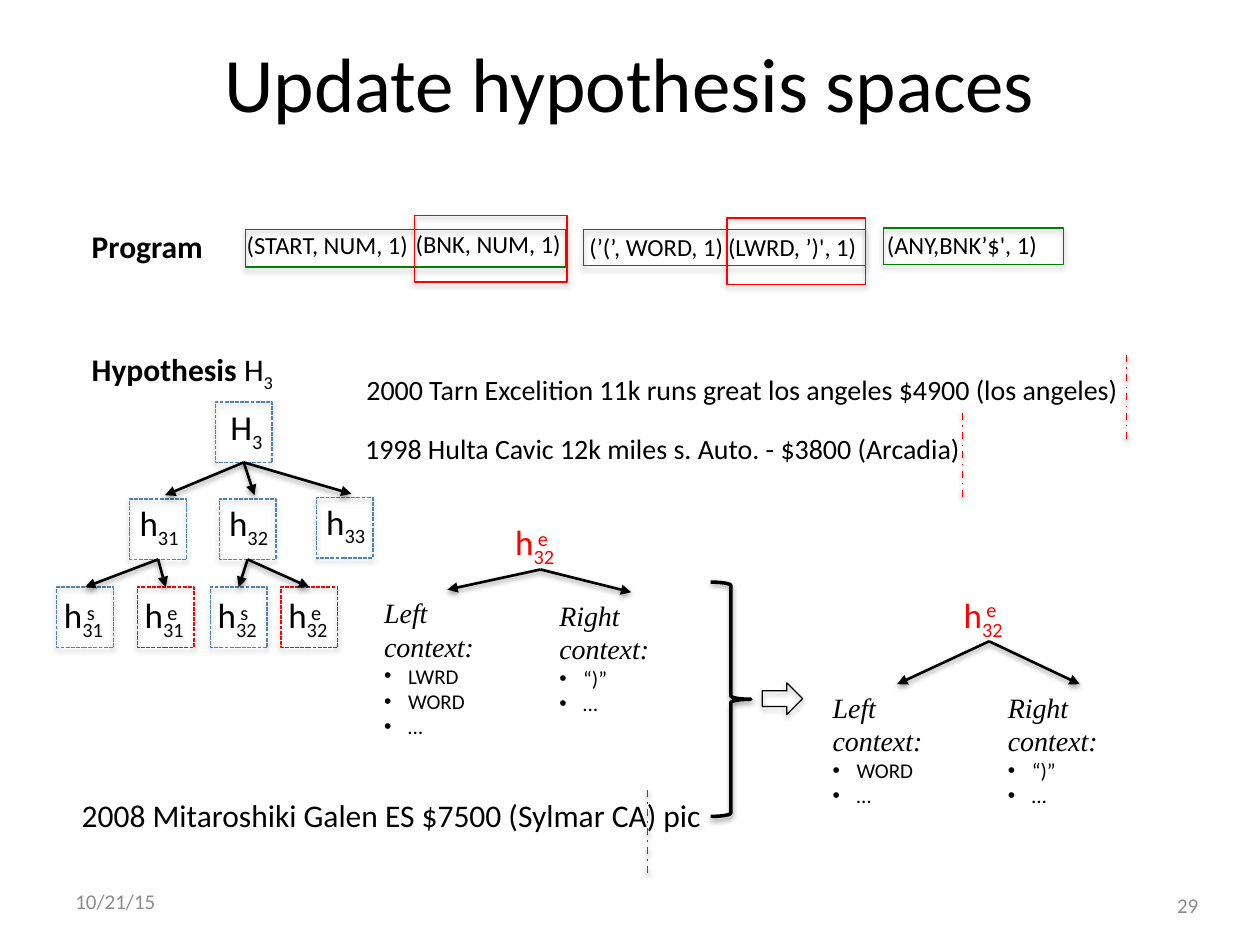
from dataclasses import dataclass
from lxml.etree import SubElement
from pptx import Presentation
from pptx.dml.color import RGBColor
from pptx.enum.dml import MSO_LINE
from pptx.enum.shapes import MSO_CONNECTOR, MSO_SHAPE
from pptx.enum.text import MSO_ANCHOR, MSO_AUTO_SIZE, PP_ALIGN
from pptx.oxml.ns import qn
from pptx.util import Inches, Pt


@dataclass(frozen=True)
class Theme:
    sans: str = "Calibri"
    serif: str = "Times New Roman"
    black: str = "000000"
    red: str = "FF0000"
    green: str = "008000"
    blue: str = "4F81BD"
    gray: str = "8C8C8C"
    title: int = 44
    node: int = 20
    head: int = 18
    body: int = 16
    rule: int = 14
    small: int = 12


class Deck:
    def __init__(self, theme, slide):
        self.theme = theme
        self.slide = slide

    def shade(self, item, alpha=35, dist=1.8):
        """Add a soft shadow that falls straight down."""
        props = item._element.spPr
        for old in props.findall(qn("a:effectLst")):
            props.remove(old)
        effects = SubElement(props, qn("a:effectLst"))
        outer = SubElement(effects, qn("a:outerShdw"), blurRad=str(Pt(3.1)),
                           dist=str(Pt(dist)), dir="5400000", rotWithShape="0")
        color = SubElement(outer, qn("a:srgbClr"), val=self.theme.black)
        SubElement(color, qn("a:alpha"), val=str(alpha * 1000))

    def stroke(self, item, color, width, dash=None):
        item.line.color.rgb = RGBColor.from_string(color)
        values = {"width": Pt(width), "dash_style": dash}
        for name, value in values.items():
            if value is not None:
                setattr(item.line, name, value)

    def run(self, para, text, size, color=None, font=None, base=0, **form):
        run = para.add_run()
        run.text = text
        values = {"size": Pt(size), "name": font or self.theme.sans, **form}
        for name, value in values.items():
            setattr(run.font, name, value)
        run.font.color.rgb = RGBColor.from_string(color or self.theme.black)
        if base:
            run.font._element.set("baseline", str(base * 1000))

    def text(self, box, runs, wrap=True, grow=True, align=PP_ALIGN.LEFT):
        """Place one paragraph; each run is a text and its format values."""
        frame = self.slide.shapes.add_textbox(*map(Inches, box)).text_frame
        values = {
            "word_wrap": wrap,
            "auto_size": MSO_AUTO_SIZE.SHAPE_TO_FIT_TEXT if grow else MSO_AUTO_SIZE.NONE,
            "vertical_anchor": MSO_ANCHOR.TOP if grow else MSO_ANCHOR.MIDDLE,
        }
        for name, value in values.items():
            setattr(frame, name, value)
        para = frame.paragraphs[0]
        para.alignment = align
        for words, form in runs:
            self.run(para, words, **form)
        return frame

    def shape(self, kind, box, color, width=0.75, dash=None, alpha=35, dist=1.8):
        item = self.slide.shapes.add_shape(kind, *map(Inches, box))
        item.fill.background()
        self.stroke(item, color, width, dash)
        self.shade(item, alpha, dist)
        return item

    def rect(self, box, color, dash=None):
        return self.shape(MSO_SHAPE.RECTANGLE, box, color, dash=dash)

    def line(self, start, end, color, width, dash=None):
        item = self.slide.shapes.add_connector(
            MSO_CONNECTOR.STRAIGHT, *map(Inches, (*start, *end)))
        self.stroke(item, color, width, dash)
        self.shade(item, 38, 1.6)
        return item

    def arrow(self, tip, root, child=None, parent=None):
        """Draw a branch whose arrowhead is at the tip."""
        item = self.line(tip, root, self.theme.black, 1.5)
        if child is not None:
            item.begin_connect(child, 0)
        if parent is not None:
            item.end_connect(parent, 2)
        SubElement(item.line._get_or_add_ln(), qn("a:headEnd"), type="triangle")

    def cut(self, x, y, drop=0.68):
        self.line((x, y), (x, y + drop), self.theme.red, 1, MSO_LINE.DASH_DOT)

    def label(self, x, y, name, sub, sup=None, color=None, lift=0.02):
        form = {"size": self.theme.node, "color": color}
        self.text((x, y, 0.6, 0.44), [(name, form), (sub, {**form, "base": -25})])
        if sup:
            self.text((x + 0.18, y + lift, 0.29, 0.33),
                      [(sup, {**form, "base": 30})], wrap=False)

    def node(self, x, y, color, shift, *parts):
        box = self.rect((x, y, 0.45, 0.48), color, MSO_LINE.SQUARE_DOT)
        self.label(x + shift[0], y + shift[1], *parts)
        return box

    def context(self, box, side, items):
        frame = self.text(box, [(f"{side} context:", {
            "size": self.theme.body, "font": self.theme.serif, "italic": True})])
        for item in items:
            para = frame.add_paragraph()
            self.run(para, item, self.theme.small)
            props = para._p.get_or_add_pPr()
            props.set("marL", str(Inches(0.19)))
            props.set("indent", str(-Inches(0.19)))
            SubElement(props, qn("a:buFont"), typeface="Arial")
            SubElement(props, qn("a:buChar"), char="•")


def main():
    theme = Theme()
    prs = Presentation()
    prs.slide_width, prs.slide_height = Inches(10), Inches(7.5)
    deck = Deck(theme, prs.slides.add_slide(prs.slide_layouts[6]))

    deck.text((0.5, 0.02, 9, 1.25), [("Update hypothesis spaces", {"size": theme.title})],
              grow=False, align=PP_ALIGN.CENTER)

    # Program
    deck.text((0.63, 1.75, 1.1, 0.4), [("Program", {"size": theme.head, "bold": True})],
              wrap=False)
    for x, y, width, words in [
        (1.86, 1.78, 1.74, "(START, NUM, 1)"), (3.2, 1.77, 1.45, "(BNK, NUM, 1)"),
        (4.58, 1.79, 1.65, "(’(’, WORD, 1)"), (5.68, 1.79, 1.26, "(LWRD, ’)', 1)"),
        (6.94, 1.78, 1.65, "(ANY,BNK’$', 1)"),
    ]:
        deck.text((x, y, width, 0.34), [(words, {"size": theme.rule})])
    for x, y, width, height, color in [
        (1.95, 1.82, 2.54, 0.3, theme.green), (4.63, 1.82, 2.24, 0.29, theme.green),
        (7.01, 1.81, 1.43, 0.29, theme.green),
        (3.29, 1.71, 1.21, 0.53, theme.red), (5.77, 1.73, 1.1, 0.53, theme.red),
    ]:
        deck.rect((x, y, width, height), color)

    # Hypothesis and examples
    head = {"size": theme.head}
    deck.text((0.63, 2.73, 1.67, 0.4),
              [("Hypothesis ", {**head, "bold": True}), ("H", head),
               ("3", {**head, "base": -25})], wrap=False)
    for x, y, width, height, words, size in [
        (2.81, 2.91, 6.36, 0.37,
         "2000 Tarn Excelition 11k runs great los angeles $4900 (los angeles)", theme.body),
        (2.8, 3.38, 6.7, 0.37,
         "1998 Hulta Cavic 12k miles s. Auto. - $3800 (Arcadia)", theme.body),
        (0.55, 6.27, 5.79, 0.4,
         "2008 Mitaroshiki Galen ES $7500 (Sylmar CA) pic", theme.head),
    ]:
        deck.text((x, y, width, height), [(words, {"size": size})])
    for x, y in [(8.94, 2.82), (7.64, 3.28), (5.14, 6.27)]:
        deck.cut(x, y)

    # Hypothesis tree
    root = deck.node(1.71, 3.19, theme.blue, (0.02, -0.02), "H", "3")
    mids = [deck.node(x, y, theme.blue, (-0.02, -0.03), "h", sub)
            for x, y, sub in [(1.03, 3.96, "31"), (1.74, 3.96, "32"), (2.51, 3.95, "33")]]
    for tip in [(1.31, 3.93), (2.02, 3.93), (2.79, 3.92)]:
        deck.arrow(tip, (1.94, 3.67), parent=root)
    for i, x in enumerate([0.45, 1.09, 1.67, 2.23]):
        sup, color = [("s", theme.blue), ("e", theme.red)][i % 2]
        leaf = deck.node(x, 4.66, color, (-0.04, 0), "h", f"3{i // 2 + 1}", sup)
        deck.arrow((x, 4.66), (x, 4.44), leaf, mids[i // 2])

    # Contexts before and after the update
    for x, y, lift in [(3.99, 4.08, 0.01), (7.55, 4.66, 0)]:
        deck.label(x, y, "h", "32", "e", theme.red, lift)
    for x, y, width, height, side, items in [
        (2.95, 4.68, 1.21, 0.98, "Left", ["LWRD", "WORD", "…"]),
        (4.34, 4.7, 1.35, 0.77, "Right", ["“)”", "…"]),
        (6.51, 5.43, 1.23, 0.77, "Left", ["WORD", "…"]),
        (7.9, 5.43, 1.35, 0.77, "Right", ["“)”", "…"]),
    ]:
        deck.context((x, y, width, height), side, items)
    for top, tips in [((4.29, 4.52), [(3.55, 4.68), (5.01, 4.7)]),
                      ((7.85, 5.09), [(7.12, 5.43), (8.57, 5.43)])]:
        for tip in tips:
            deck.arrow(tip, top)
    deck.shape(MSO_SHAPE.RIGHT_ARROW, (6.05, 5.42, 0.32, 0.25), theme.black)
    deck.shape(MSO_SHAPE.RIGHT_BRACE, (5.64, 4.62, 0.32, 1.86), theme.black, 2,
               alpha=38, dist=1.6)

    # Footer
    for x, y, words, align in [(0.5, 6.95, "10/21/15", PP_ALIGN.LEFT),
                               (7.28, 6.98, "29", PP_ALIGN.RIGHT)]:
        deck.text((x, y, 2.33, 0.4), [(words, {"size": theme.small, "color": theme.gray})],
                  grow=False, align=align)

    prs.save("out.pptx")


if __name__ == "__main__":
    main()
